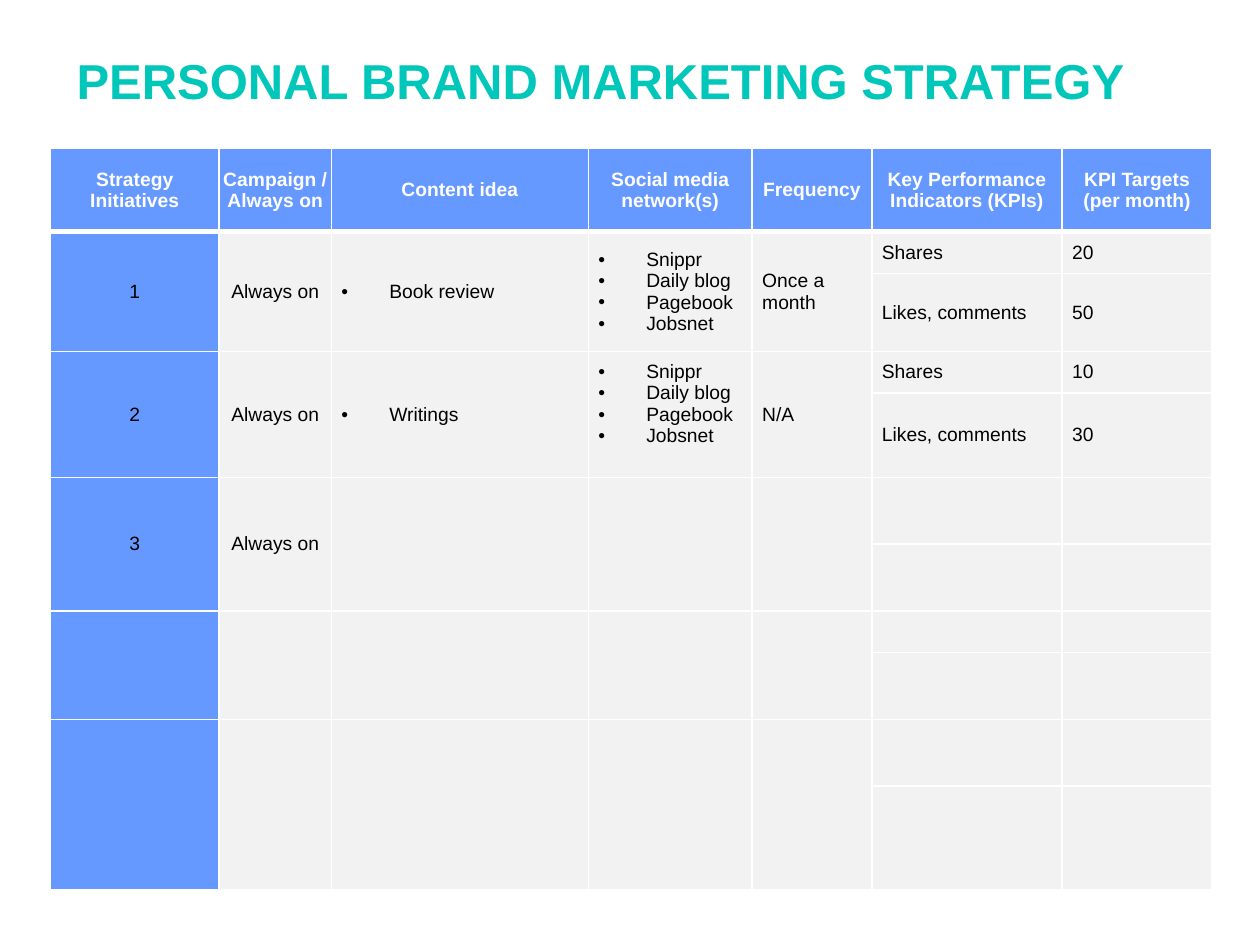
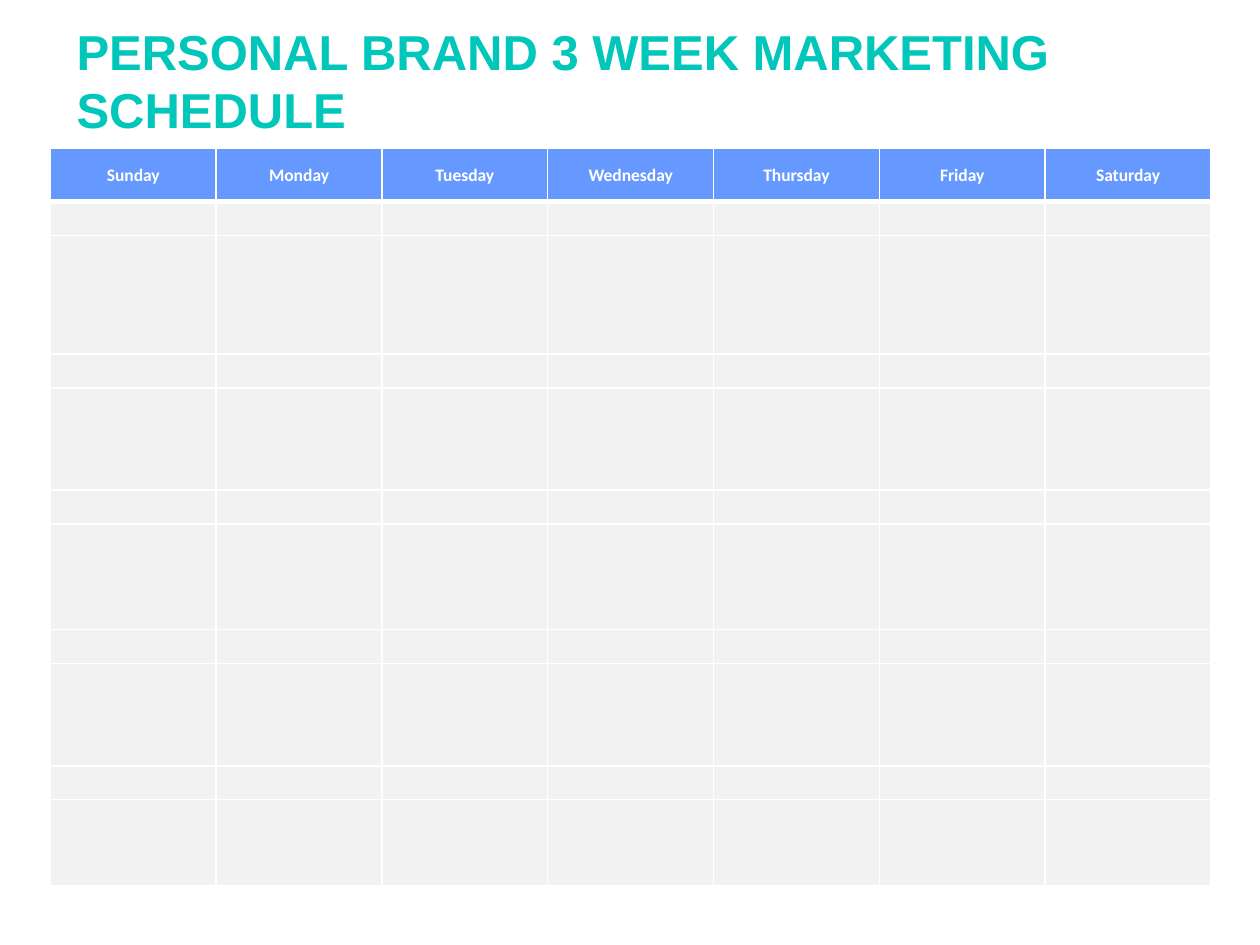
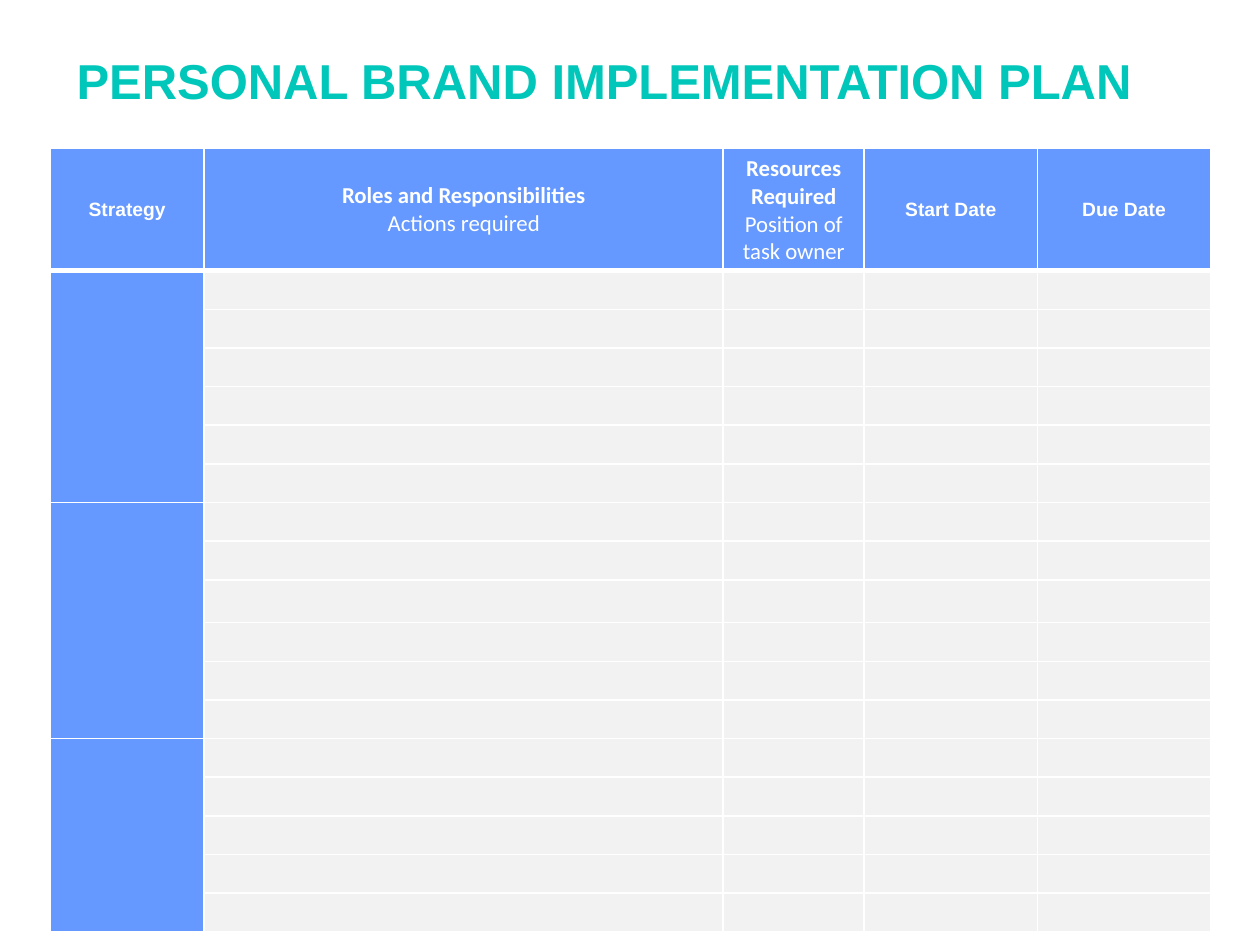
"""Build a personal brand plan: strategy, weekly schedule and implementation tables."""
from dataclasses import dataclass, field

from lxml import etree
from pptx import Presentation
from pptx import util as u
from pptx.dml.color import RGBColor
from pptx.enum import text
from pptx.oxml import ns

TEAL = RGBColor(0x00, 0xC7, 0xBA)
BLUE = RGBColor(0x66, 0x99, 0xFF)
GREY = RGBColor(0xF2, 0xF2, 0xF2)
WHITE = RGBColor(0xFF, 0xFF, 0xFF)
BLACK = RGBColor(0x00, 0x00, 0x00)

GRID_COLUMNS = 1000
STEP = u.Inches(10) // GRID_COLUMNS
TABLE_LEFT, TABLE_TOP = 40, 118
TITLE_LEFT, TITLE_WIDTH, TITLE_MIDDLE = 51, 883, 63.5
TITLE_LINE = 52
HEADER_RULE, RULE = 3, 1
BULLET_INDENT = 38

Margins = tuple[float, float, float, float]
SNUG: Margins = (8, 4, 8, 4)
FLUSH: Margins = (0, 0, 0, 0)
DAY: Margins = (7, 0, 7, 0)
PLAN: Margins = (7, 4, 7, 4)
ROOMY: Margins = (10, 5, 10, 5)


@dataclass(frozen=True)
class Line:
    """One paragraph of a cell."""
    text: str
    bold: bool = False
    size: float = 11
    face: str = "Arial"
    color: RGBColor = BLACK
    bullet: bool = False


@dataclass(frozen=True)
class Block:
    """The content and layout of one cell."""
    lines: list[Line]
    centered: bool = False
    margins: Margins = SNUG


@dataclass
class Sheet:
    """A titled table, measured in grid steps."""
    title: str
    cols: list[float]
    rows: list[float]
    cells: dict[tuple[int, int], Block]
    groups: list[int] = field(default_factory=list)
    merged_cols: int = 0
    title_lines: int = 1


def steps(n: float) -> int:
    """Convert grid steps to slide units."""
    return int(n * STEP)


def heading(label: str, margins: Margins = SNUG, size: float = 11,
            face: str = "Arial", note: str = "") -> Block:
    """Make a white header block with an optional plain second line."""
    lines = [Line(label, True, size, face, WHITE)]
    if note:
        lines.append(Line(note, False, size, face, WHITE))
    return Block(lines, True, margins)


def add_run(p, line: Line) -> None:
    """Add one formatted run to a paragraph."""
    r = p.add_run()
    r.text = line.text
    r.font.name = line.face
    r.font.size = u.Pt(line.size)
    r.font.bold = line.bold
    r.font.color.rgb = line.color


def add_bullet(p) -> None:
    """Give a paragraph a hanging round bullet."""
    pPr = p._p.get_or_add_pPr()
    pPr.set("marL", str(steps(BULLET_INDENT)))
    pPr.set("indent", str(-steps(BULLET_INDENT)))
    etree.SubElement(pPr, ns.qn("a:buFont"), typeface="Arial")
    etree.SubElement(pPr, ns.qn("a:buChar"), char="•")


def set_borders(cell, top: float, bottom: float) -> None:
    """Draw white rules on the four sides of a cell."""
    tcPr = cell._tc.get_or_add_tcPr()
    sides = {"lnL": RULE, "lnR": RULE, "lnT": top, "lnB": bottom}
    for i, (side, width) in enumerate(sides.items()):
        ln = etree.Element(ns.qn(f"a:{side}"), w=str(u.Pt(width)))
        fill = etree.SubElement(ln, ns.qn("a:solidFill"))
        etree.SubElement(fill, ns.qn("a:srgbClr"), val=str(WHITE))
        tcPr.insert(i, ln)


def set_margins(cell, margins: Margins) -> None:
    """Set the four insets of a cell."""
    (cell.margin_left, cell.margin_top,
     cell.margin_right, cell.margin_bottom) = map(steps, margins)


def fill_cell(cell, block: Block) -> None:
    """Write a block into a cell."""
    set_margins(cell, block.margins)
    tf = cell.text_frame
    for i, line in enumerate(block.lines):
        p = tf.add_paragraph() if i else tf.paragraphs[0]
        p.alignment = text.PP_ALIGN.CENTER if block.centered else text.PP_ALIGN.LEFT
        if line.bullet:
            add_bullet(p)
        add_run(p, line)


def leave_empty(cell) -> None:
    """Keep an empty cell from stretching its row."""
    set_margins(cell, FLUSH)
    p = cell.text_frame.paragraphs[0]
    etree.SubElement(p._p, ns.qn("a:endParaRPr"), sz="800")


def add_title(s, sheet: Sheet) -> None:
    """Add the slide title, centred on the title band."""
    height = TITLE_LINE * sheet.title_lines
    sp = s.shapes.add_textbox(steps(TITLE_LEFT), steps(TITLE_MIDDLE - height / 2),
                              steps(TITLE_WIDTH), steps(height))
    tf = sp.text_frame
    tf.word_wrap = True
    tf.auto_size = text.MSO_AUTO_SIZE.SHAPE_TO_FIT_TEXT
    tf.vertical_anchor = text.MSO_ANCHOR.MIDDLE
    add_run(tf.paragraphs[0], Line(sheet.title, True, 28, color=TEAL))


def add_sheet(prs, sheet: Sheet) -> None:
    """Add a slide holding one titled table."""
    s = prs.slides.add_slide(prs.slide_layouts[6])
    add_title(s, sheet)
    table = s.shapes.add_table(
        len(sheet.rows), len(sheet.cols), steps(TABLE_LEFT), steps(TABLE_TOP),
        steps(sum(sheet.cols)), steps(sum(sheet.rows))).table
    table.first_row = table.horz_banding = False
    for column, width in zip(table.columns, sheet.cols):
        column.width = steps(width)
    for row, height in zip(table.rows, sheet.rows):
        row.height = steps(height)
    for y in range(len(sheet.rows)):
        for x in range(len(sheet.cols)):
            cell = table.cell(y, x)
            cell.vertical_anchor = text.MSO_ANCHOR.MIDDLE
            cell.fill.solid()
            is_blue = y == 0 or (x == 0 and sheet.groups)
            cell.fill.fore_color.rgb = BLUE if is_blue else GREY
            set_borders(cell, HEADER_RULE if y == 1 else RULE,
                        HEADER_RULE if y == 0 else RULE)
            if (y, x) in sheet.cells:
                fill_cell(cell, sheet.cells[y, x])
            else:
                leave_empty(cell)
    y = 1
    for size in sheet.groups:
        for x in range(sheet.merged_cols):
            table.cell(y, x).merge(table.cell(y + size - 1, x))
        y += size


def header_row(blocks: list[Block]) -> dict[tuple[int, int], Block]:
    """Place blocks along the first row."""
    return {(0, x): block for x, block in enumerate(blocks)}


def strategy() -> Sheet:
    """Describe the strategy table."""
    labels = ["Strategy Initiatives", "Campaign / Always on", "Content idea",
              "Social media network(s)", "Frequency",
              "Key Performance Indicators (KPIs)", "KPI Targets (per month)"]
    cells = header_row([heading(label, FLUSH if x == 1 else SNUG)
                        for x, label in enumerate(labels)])
    networks = [Line(name, bullet=True)
                for name in ("Snippr", "Daily blog", "Pagebook", "Jobsnet")]
    for i in range(3):
        cells[1 + 2 * i, 0] = Block([Line(str(i + 1))], True)
        cells[1 + 2 * i, 1] = Block([Line("Always on")], True, FLUSH)
    initiatives = [("Book review", "Once a month", ("20", "50"), SNUG),
                   ("Writings", "N/A", ("10", "30"), (8, 4, 8, 21))]
    for i, (idea, frequency, targets, margins) in enumerate(initiatives):
        y = 1 + 2 * i
        cells[y, 2] = Block([Line(idea, bullet=True)])
        cells[y, 3] = Block(networks, margins=margins)
        cells[y, 4] = Block([Line(frequency)])
        for k, (kpi, target) in enumerate(zip(("Shares", "Likes, comments"), targets)):
            cells[y + k, 5] = Block([Line(kpi)])
            cells[y + k, 6] = Block([Line(target)])
    return Sheet("PERSONAL BRAND MARKETING STRATEGY",
                 [134, 89, 204, 130, 95, 151, 119],
                 [66, 33, 62, 33, 67, 53, 53, 33, 53, 53, 82],
                 cells, groups=[2] * 5, merged_cols=5)


def schedule() -> Sheet:
    """Describe the weekly schedule table."""
    days = ["Sunday", "Monday", "Tuesday", "Wednesday", "Thursday", "Friday", "Saturday"]
    rows = [42]
    for week_height in (94, 81, 84, 81, 68):
        rows += [27, week_height]
    return Sheet("PERSONAL BRAND 3 WEEK MARKETING SCHEDULE", [131.6] * len(days), rows,
                 header_row([heading(day, DAY, 10, "Calibri") for day in days]),
                 title_lines=2)


def implementation() -> Sheet:
    """Describe the implementation plan table."""
    headings = [
        heading("Strategy", PLAN),
        heading("Roles and Responsibilities", ROOMY, 13, "Calibri", "Actions required"),
        heading("Resources Required", ROOMY, 13, "Calibri", "Position of task owner"),
        heading("Start Date", FLUSH),
        heading("Due Date", PLAN),
    ]
    action = 30.7
    return Sheet("PERSONAL BRAND IMPLEMENTATION PLAN", [122, 412, 112, 137.5, 137.5],
                 [96] + [action] * 8 + [34] + [action] * 8,
                 header_row(headings), groups=[6, 6, 5], merged_cols=1)


def main() -> None:
    """Build and save the slides."""
    prs = Presentation()
    prs.slide_width, prs.slide_height = u.Inches(10), u.Inches(7.5)
    for sheet in (strategy(), schedule(), implementation()):
        add_sheet(prs, sheet)
    prs.save("out.pptx")


if __name__ == "__main__":
    main()
